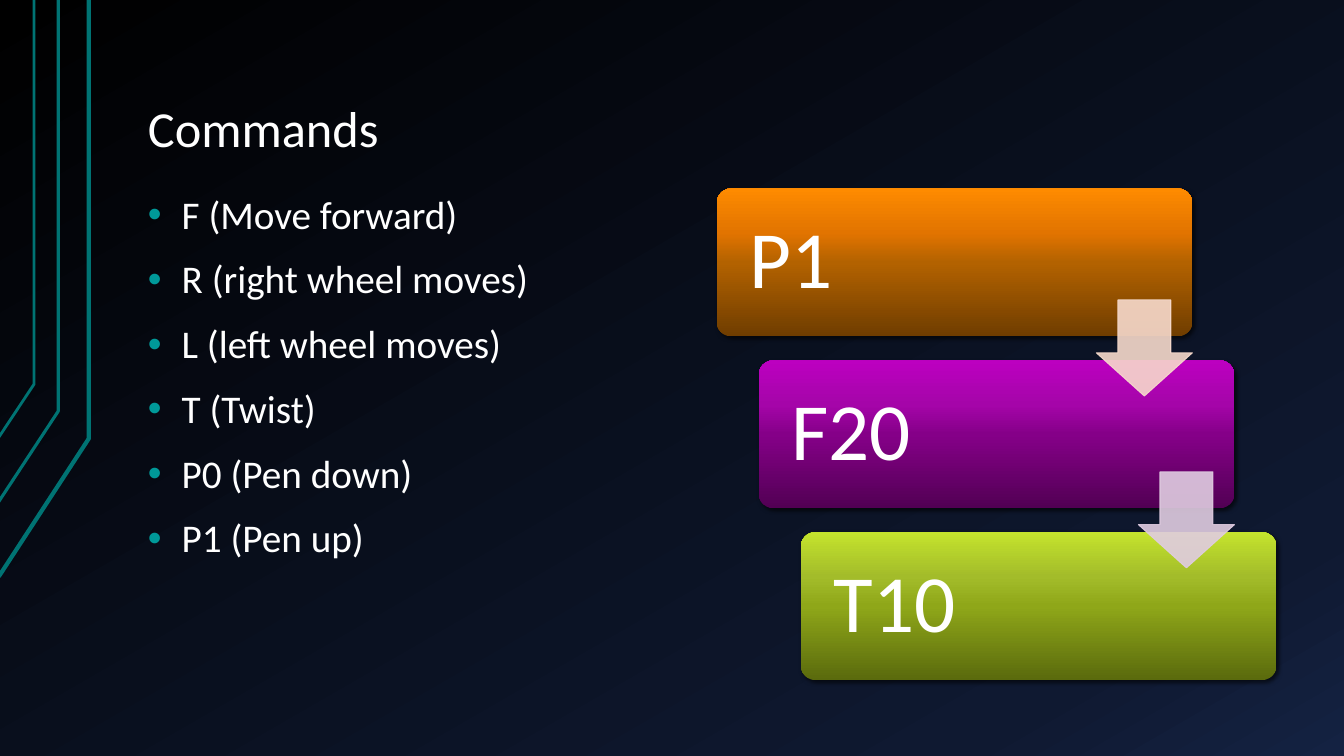
from lxml import etree
from pptx import Presentation
from pptx.dml.color import RGBColor
from pptx.enum.shapes import MSO_SHAPE
from pptx.enum.text import MSO_ANCHOR, PP_ALIGN
from pptx.oxml.ns import qn
from pptx.util import Cm, Pt

COLORS = {
    "text": "FFFFFF",
    "rail": "007373",
    "bullet": "009999",
    "shadow": "000000",
    "pen_arrow": "F7DACC",
    "forward_arrow": "E0CCE1",
}
BACKGROUND = [(0, "000000"), (85, "0F1931"), (100, "142242")]
STEPS = [
    ("P1", [(0, "6F3D00"), (50, "B36200"), (70, "E27400"), (100, "FE8B00")]),
    ("F20", [(0, "520054"), (50, "850088"), (70, "A505A9"), (100, "BC00C0")]),
    ("T10", [(0, "5A6A0D"), (50, "8FA719"), (70, "A3BC2A"), (100, "C4E32D")]),
]
RAILS = [
    ([(-0.03, 14.53), (2.24, 11.05), (2.24, 0)], 3),
    ([(-0.05, 12.67), (1.47, 10.36), (1.47, 0)], 2.25),
    ([(-0.03, 11.02), (0.86, 9.68), (0.86, 0)], 2),
]
COMMANDS = [
    "F (Move forward)",
    "R (right wheel moves)",
    "L (left wheel moves)",
    "T (Twist)",
    "P0 (Pen down)",
    "P1 (Pen up)",
]
STEP_X, STEP_Y = 1.06, 4.33


def set_gradient(element, stops, angle):
    solid = next(element.iter(qn("a:solidFill")))
    gradient = etree.Element(qn("a:gradFill"), rotWithShape="1")
    stop_list = etree.SubElement(gradient, qn("a:gsLst"))
    for position, color in stops:
        stop = etree.SubElement(stop_list, qn("a:gs"), pos=str(position * 1000))
        etree.SubElement(stop, qn("a:srgbClr"), val=color)
    etree.SubElement(gradient, qn("a:lin"), ang=str(angle * 60000), scaled="0")
    solid.getparent().replace(solid, gradient)


def add_span(para, text, size):
    para.alignment = PP_ALIGN.LEFT
    para.line_spacing = 0.9
    span = para.add_run()
    span.text = text
    span.font.name = "Calibri"
    span.font.size = Pt(size)
    span.font.color.rgb = RGBColor.from_string(COLORS["text"])


deck = Presentation()
deck.slide_width, deck.slide_height = Cm(33.87), Cm(19.05)
page = deck.slides.add_slide(deck.slide_layouts[6])
page.background.fill.solid()
page.background.fill.fore_color.rgb = RGBColor.from_string(BACKGROUND[0][1])
set_gradient(page.element, BACKGROUND, 60)

for points, width in RAILS:
    start, *rest = [(Cm(x), Cm(y)) for x, y in points]
    builder = page.shapes.build_freeform(*start)
    builder.add_line_segments(rest, close=False)
    rail = builder.convert_to_shape()
    rail.shadow.inherit = False
    rail.fill.background()
    rail.line.color.rgb = RGBColor.from_string(COLORS["rail"])
    rail.line.width = Pt(width)

title = page.shapes.add_textbox(Cm(3.39), Cm(0.76), Cm(28.79), Cm(3.4))
body = page.shapes.add_textbox(Cm(3.39), Cm(4.75), Cm(14.1), Cm(12.4))
for box in (title, body):
    frame = box.text_frame
    frame.word_wrap = True
    frame.margin_left = frame.margin_right = Cm(0.34)
    frame.margin_top = frame.margin_bottom = Cm(0.17)
title.text_frame.vertical_anchor = MSO_ANCHOR.BOTTOM
add_span(title.text_frame.paragraphs[0], "Commands", 36)

for index, command in enumerate(COMMANDS):
    frame = body.text_frame
    para = frame.add_paragraph() if index else frame.paragraphs[0]
    add_span(para, command, 28)
    para.space_before = Pt(16)
    properties = para._p.get_or_add_pPr()
    properties.set("marL", str(Cm(0.85)))
    properties.set("indent", str(-Cm(0.85)))
    bullet_color = etree.SubElement(properties, qn("a:buClr"))
    etree.SubElement(bullet_color, qn("a:srgbClr"), val=COLORS["bullet"])
    etree.SubElement(properties, qn("a:buFont"), typeface="Arial")
    etree.SubElement(properties, qn("a:buChar"), char="•")

for index, (label, stops) in enumerate(STEPS):
    box = page.shapes.add_shape(
        MSO_SHAPE.ROUNDED_RECTANGLE,
        Cm(18.06 + index * STEP_X), Cm(4.75 + index * STEP_Y), Cm(11.99), Cm(3.73),
    )
    box.adjustments[0] = 0.1
    box.fill.solid()
    set_gradient(box.element, stops, 270)
    box.line.fill.background()
    box.shadow.inherit = False
    effects = box.element.spPr.find(qn("a:effectLst"))
    shadow = etree.SubElement(
        effects, qn("a:outerShdw"), blurRad=str(Pt(3)), dist=str(Pt(2)),
        dir=str(45 * 60000), rotWithShape="0",
    )
    shadow_color = etree.SubElement(shadow, qn("a:srgbClr"), val=COLORS["shadow"])
    etree.SubElement(shadow_color, qn("a:alpha"), val="60000")
    frame = box.text_frame
    frame.word_wrap = True
    frame.margin_left = Cm(0.72)
    frame.vertical_anchor = MSO_ANCHOR.MIDDLE
    add_span(frame.paragraphs[0], label, 58)

for index, name in enumerate(("pen_arrow", "forward_arrow")):
    arrow = page.shapes.add_shape(
        MSO_SHAPE.DOWN_ARROW,
        Cm(27.63 + index * STEP_X), Cm(7.56 + index * STEP_Y), Cm(2.42), Cm(2.42),
    )
    arrow.adjustments[0] = 0.55
    arrow.adjustments[1] = 0.45
    arrow.shadow.inherit = False
    arrow.fill.solid()
    arrow.fill.fore_color.rgb = RGBColor.from_string(COLORS[name])
    arrow.line.color.rgb = RGBColor.from_string(COLORS[name])
    arrow.line.width = Pt(0.75)
    for color in arrow.element.spPr.iter(qn("a:srgbClr")):
        etree.SubElement(color, qn("a:alpha"), val="90000")

deck.save("out.pptx")
